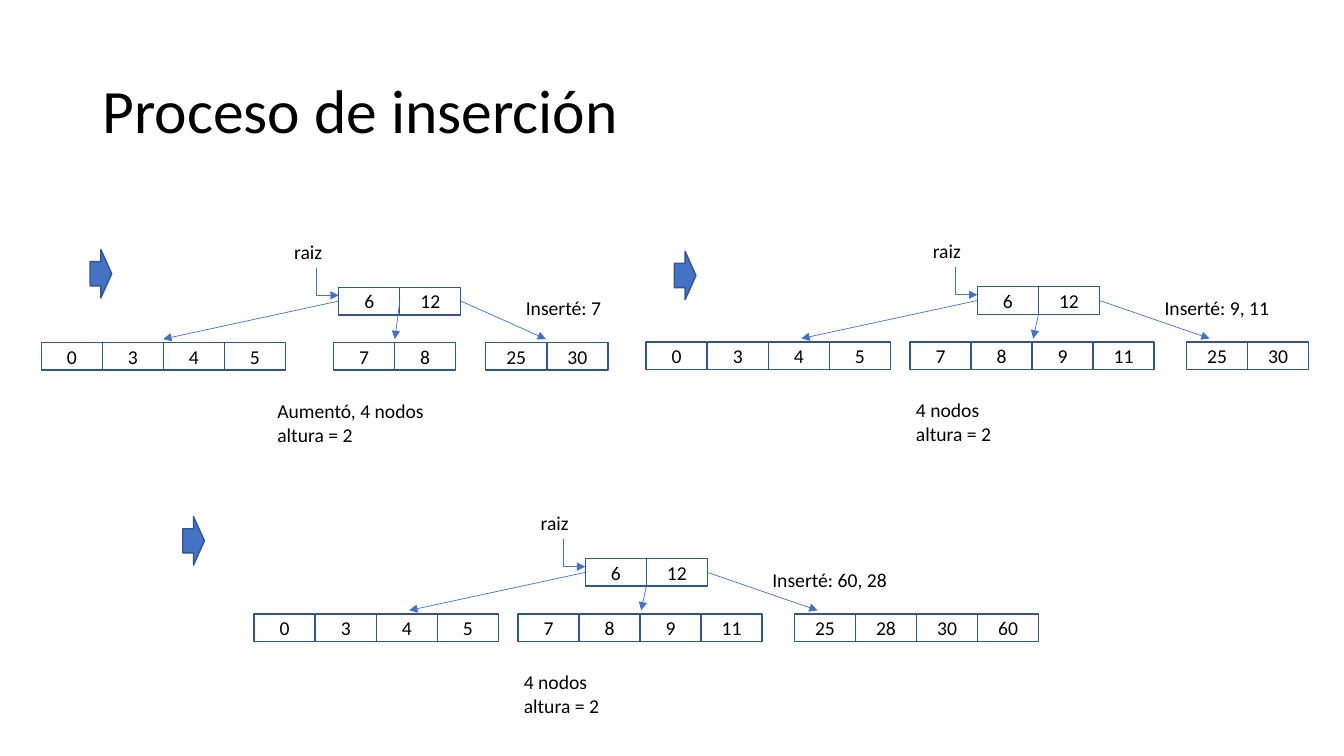
from pptx import Presentation
from pptx.util import Pt
from pptx.dml.color import RGBColor
from pptx.enum.shapes import MSO_SHAPE as SHAPE, MSO_CONNECTOR as CONN
from pptx.enum.text import PP_ALIGN as ALIGN, MSO_ANCHOR as ANCHOR
from pptx.oxml.ns import qn
from lxml import etree

COLORS = {"text": "000000", "border": "325491", "accent": "4472C4"}
CELL_W, CELL_H = 43.6, 19.7
LEAF_DY = 39.5


def write(tf, lines, size=14, align=ALIGN.LEFT):
    for i, line in enumerate(lines):
        p = tf.paragraphs[0] if i == 0 else tf.add_paragraph()
        p.alignment = align
        r = p.add_run()
        r.text = line
        r.font.size = Pt(size)
        r.font.name = "Calibri"
        r.font.color.rgb = RGBColor.from_string(COLORS["text"])


def add_arrow(shapes, kind, x1, y1, x2, y2):
    arrow = shapes.add_connector(kind, Pt(x1), Pt(y1), Pt(x2), Pt(y2))
    arrow.line.color.rgb = RGBColor.from_string(COLORS["accent"])
    arrow.line.width = Pt(0.5)
    ln = arrow.line._get_or_add_ln()
    etree.SubElement(ln, qn("a:tailEnd"), type="triangle")
    etree.SubElement(arrow._element.spPr, qn("a:effectLst"))
    return arrow


prs = Presentation()
prs.slide_width, prs.slide_height = Pt(960), Pt(540)
s = prs.slides.add_slide(prs.slide_layouts[5])

title = s.shapes.title
title.left, title.top, title.width, title.height = Pt(66), Pt(28.75), Pt(828), Pt(104.4)
title.text_frame.vertical_anchor = ANCHOR.MIDDLE
write(title.text_frame, ["Proceso de inserción"], 44)
title.text_frame.paragraphs[0].line_spacing = 0.9

trees = [
    {"root": (242, 205.2), "leaves": [(29.5, [0, 3, 4, 5]), (238.3, [7, 8]), (347, [25, 30])],
     "targets": [116.6, 282, 390], "middle_dy": CELL_H / 2,
     "inserted": ("Inserté: 7", 69), "status": ("Aumentó, 4 nodos", 120), "marker": (64.3, 178.2)},
    {"root": (698.2, 204.8),
     "leaves": [(461.6, [0, 3, 4, 5]), (650, [7, 8, 9, 11]), (847.6, [25, 30])],
     "targets": [572.4, 738, 864], "middle_dy": CELL_H,
     "inserted": ("Inserté: 9, 11", 90), "status": ("4 nodos", 69), "marker": (481.6, 179.5)},
    {"root": (418.1, 399),
     "leaves": [(181.6, [0, 3, 4, 5]), (370, [7, 8, 9, 11]), (567.5, [25, 28, 30, 60])],
     "targets": [292.3, 458, 584], "middle_dy": CELL_H,
     "inserted": ("Inserté: 60, 28", 97), "status": ("4 nodos", 69), "marker": (130.5, 369)},
]

for tree in trees:
    x, y = tree["root"]
    shapes = s.shapes.add_group_shape().shapes

    nodes = [(x, y, [6, 12])] + [(left, y + LEAF_DY, keys) for left, keys in tree["leaves"]]
    for left, top, keys in nodes:
        for i, key in enumerate(keys):
            cell = shapes.add_shape(SHAPE.RECTANGLE, Pt(left + i * CELL_W), Pt(top),
                                    Pt(CELL_W), Pt(CELL_H))
            cell.shadow.inherit = False
            cell.fill.background()
            cell.line.color.rgb = RGBColor.from_string(COLORS["border"])
            cell.line.width = Pt(1)
            cell.text_frame.vertical_anchor = ANCHOR.MIDDLE
            write(cell.text_frame, [str(key)], align=ALIGN.CENTER)

    start_dys = [CELL_H / 2, tree["middle_dy"], CELL_H / 2]
    for i, (target, start_dy) in enumerate(zip(tree["targets"], start_dys)):
        add_arrow(shapes, CONN.STRAIGHT, x + i * CELL_W, y + start_dy, target, y + 37)

    elbow = add_arrow(shapes, CONN.ELBOW, x + 1.75, y - 12, x - 17.75, y + 4)
    elbow._element.spPr.find(qn("a:prstGeom")).set("prst", "bentConnector2")
    elbow._element.spPr.find(qn("a:xfrm")).set("rot", "16200000")

    inserted, inserted_w = tree["inserted"]
    status, status_w = tree["status"]
    labels = [
        (-39, -37.6, 34.6, 24.2, ["raiz"]),
        (126.5, 2.8, inserted_w, 24.2, [inserted]),
        (-51, 76.2, status_w, 41.2, [status, "altura = 2"]),
    ]
    for dx, dy, w, h, lines in labels:
        label = shapes.add_textbox(Pt(x + dx), Pt(y + dy), Pt(w), Pt(h))
        label.text_frame.word_wrap = False
        write(label.text_frame, lines)

for tree in trees:
    left, top = tree["marker"]
    marker = s.shapes.add_shape(SHAPE.RIGHT_ARROW, Pt(left), Pt(top), Pt(15.5), Pt(34.6))
    marker.shadow.inherit = False
    marker.fill.solid()
    marker.fill.fore_color.rgb = RGBColor.from_string(COLORS["accent"])
    marker.line.color.rgb = RGBColor.from_string(COLORS["border"])
    marker.line.width = Pt(1)

prs.save("out.pptx")
